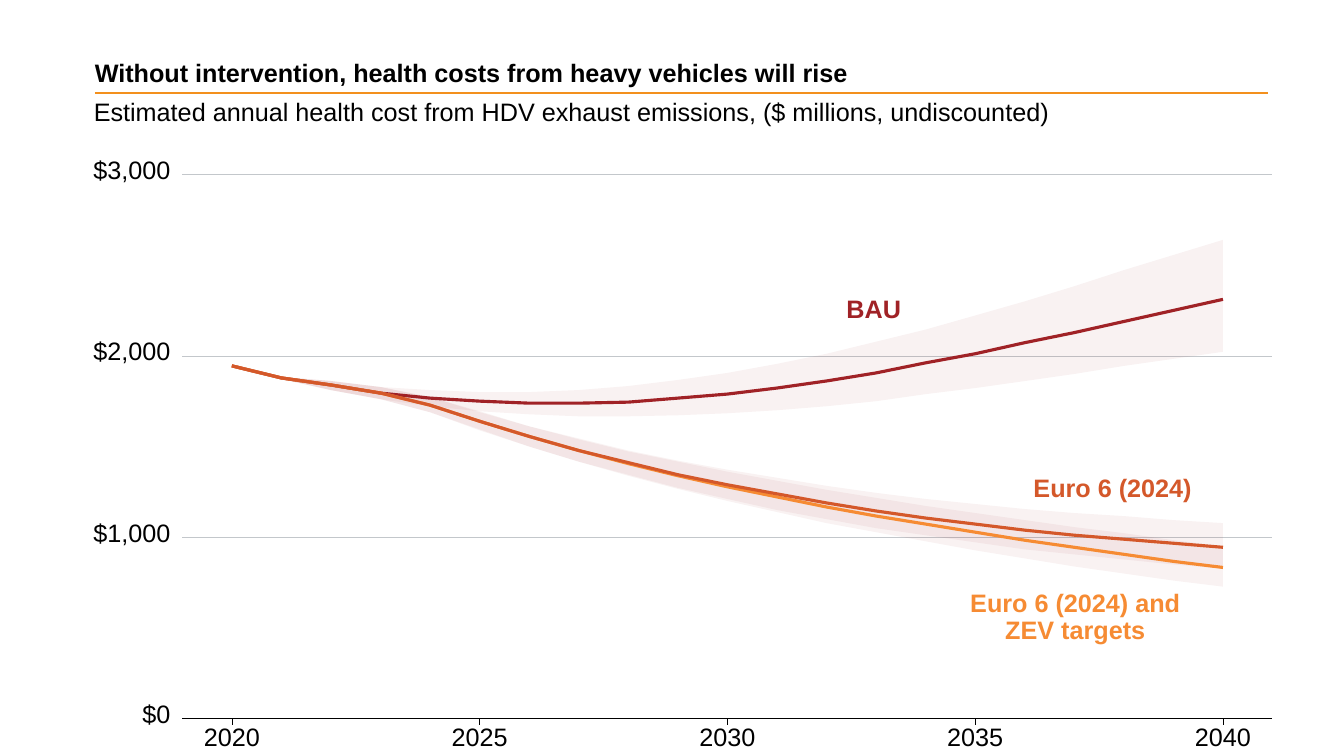
import pptx
import pptx.util
import pptx.dml.color
import pptx.enum.shapes
import pptx.enum.text
import pptx.oxml.ns
import lxml.etree

Inches = pptx.util.Inches
ALIGN = pptx.enum.text.PP_ALIGN
ANCHOR = pptx.enum.text.MSO_ANCHOR

COLORS = {"black": "000000", "rule": "F3901D", "grid": "C3C7CB",
          "bau": "A02226", "euro": "D4582A", "zev": "F68B33"}

TITLE = "Without intervention, health costs from heavy vehicles will rise"
SUBTITLE = ("Estimated annual health cost from HDV exhaust emissions, "
            "($ millions, undiscounted)")
COSTS = ["$0", "$1,000", "$2,000", "$3,000"]
YEARS = [2020, 2025, 2030, 2035, 2040]

# Heights on the slide in inches, one per year from 2020 to 2040
BANDS = [
    ([3.63, 3.74, 3.78, 3.84, 3.87, 3.89, 3.89, 3.87, 3.83, 3.77, 3.7,
      3.61, 3.51, 3.39, 3.27, 3.13, 2.99, 2.84, 2.68, 2.53, 2.38],
     [3.62, 3.76, 3.87, 3.96, 4.03, 4.08, 4.11, 4.13, 4.13, 4.12, 4.1,
      4.07, 4.03, 3.98, 3.91, 3.85, 3.78, 3.71, 3.63, 3.56, 3.49]),
    ([3.63, 3.74, 3.78, 3.84, 3.94, 4.09, 4.23, 4.36, 4.48, 4.58, 4.68,
      4.77, 4.86, 4.94, 5.02, 5.09, 5.16, 5.23, 5.29, 5.36, 5.42],
     [3.62, 3.76, 3.87, 3.96, 4.09, 4.27, 4.43, 4.58, 4.72, 4.85, 4.97,
      5.08, 5.19, 5.28, 5.37, 5.46, 5.54, 5.62, 5.69, 5.76, 5.82]),
    ([3.63, 3.74, 3.78, 3.84, 3.94, 4.08, 4.23, 4.35, 4.47, 4.57, 4.66,
      4.74, 4.82, 4.89, 4.95, 5, 5.05, 5.09, 5.12, 5.16, 5.19],
     [3.62, 3.76, 3.87, 3.96, 4.09, 4.26, 4.43, 4.58, 4.71, 4.84, 4.95,
      5.06, 5.15, 5.24, 5.31, 5.38, 5.45, 5.5, 5.55, 5.6, 5.64]),
]
CURVES = [
    ("bau", [3.63, 3.75, 3.82, 3.9, 3.95, 3.98, 4, 4, 3.99, 3.95, 3.91,
             3.85, 3.78, 3.7, 3.6, 3.51, 3.4, 3.3, 3.19, 3.08, 2.97]),
    ("zev", [3.63, 3.75, 3.82, 3.9, 4.02, 4.18, 4.33, 4.47, 4.6, 4.72, 4.83,
             4.93, 5.03, 5.12, 5.2, 5.28, 5.36, 5.43, 5.5, 5.57, 5.63]),
    ("euro", [3.63, 3.75, 3.82, 3.9, 4.02, 4.18, 4.33, 4.47, 4.59, 4.71, 4.81,
              4.9, 4.99, 5.07, 5.14, 5.2, 5.26, 5.31, 5.35, 5.39, 5.43]),
]
LABELS = [
    ("BAU", "bau", (8.27, 2.94, 0.79, 0.27)),
    ("Euro 6 (2024)", "euro", (10.23, 4.72, 1.61, 0.27)),
    ("Euro 6 (2024) and ZEV targets", "zev", (9.5, 5.86, 2.33, 0.55)),
]

LEFT, RIGHT, BASE = 1.81, 12.62, 7.13
STEP = 1.8                      # height of $1,000
FIRST, LAST = 2.3, 12.13        # centres of 2020 and 2040
GAP = (LAST - FIRST) / 20       # width of one year

prs = pptx.Presentation()
prs.slide_width, prs.slide_height = Inches(13.33), Inches(7.5)
slide = prs.slides.add_slide(prs.slide_layouts[6])
shapes = slide.shapes


def paint(name):
    return pptx.dml.color.RGBColor.from_string(COLORS[name])


def year_x(year):
    return FIRST + (year - 2020) * GAP


def add_text(text, box, color="black", bold=False, align=ALIGN.LEFT,
             anchor=ANCHOR.TOP, space=0.9):
    frame = shapes.add_textbox(*map(Inches, box)).text_frame
    frame.word_wrap = True
    frame.vertical_anchor = anchor
    frame.margin_left = frame.margin_right = 0
    frame.margin_top = frame.margin_bottom = 0
    frame.text = text
    para = frame.paragraphs[0]
    para.alignment, para.line_spacing = align, space
    font = para.runs[0].font
    font.name, font.size, font.bold = "Arial", pptx.util.Pt(18), bold
    font.color.rgb = paint(color)


def add_line(start, end, color, width):
    line = shapes.add_connector(pptx.enum.shapes.MSO_CONNECTOR.STRAIGHT,
                                *map(Inches, start + end))
    line.line.color.rgb = paint(color)
    line.line.width = pptx.util.Pt(width)
    lxml.etree.SubElement(line.element.spPr, pptx.oxml.ns.qn("a:effectLst"))


def add_path(points, close):
    pen = shapes.build_freeform(*points[0])
    pen.add_line_segments(points[1:], close=close)
    path = pen.convert_to_shape()
    path.shadow.inherit = False
    return path


def trace(heights):
    """Return the points of a yearly series, from 2020 on."""
    return [(Inches(year_x(2020 + i)), Inches(y))
            for i, y in enumerate(heights)]


def add_band(top, low):
    band = add_path(trace(top) + trace(low)[::-1], True)
    band.line.fill.background()
    band.fill.solid()
    band.fill.fore_color.rgb = paint("bau")
    tint = band.element.spPr.find(".//" + pptx.oxml.ns.qn("a:srgbClr"))
    alpha = lxml.etree.SubElement(tint, pptx.oxml.ns.qn("a:alpha"))
    alpha.set("val", "6000")


def add_curve(color, heights):
    curve = add_path(trace(heights), False)
    curve.fill.background()
    curve.line.color.rgb = paint(color)
    curve.line.width = pptx.util.Pt(2.25)


add_line((0.94, 0.92), (12.58, 0.92), "rule", 1.5)
add_text(TITLE, (0.94, 0.21, 9.88, 0.66), bold=True,
         anchor=ANCHOR.BOTTOM, space=1.0)
add_text(SUBTITLE, (0.93, 0.99, 11.65, 0.27))

tight = {"anchor": ANCHOR.MIDDLE, "space": pptx.util.Pt(18)}
for i, cost in enumerate(COSTS):
    y = BASE - i * STEP
    add_line((LEFT, y), (RIGHT, y), "grid", 0.37)
    add_text(cost, (0.89, y - 0.14, 0.8, 0.23), align=ALIGN.RIGHT, **tight)
for top, low in BANDS:
    add_band(top, low)
for color, heights in CURVES:
    add_curve(color, heights)

add_line((LEFT, BASE), (RIGHT, BASE), "black", 1)
for year in YEARS:
    x = year_x(year)
    add_line((x, BASE), (x, BASE + 0.06), "black", 0.56)
    add_text(str(year), (x - 0.3, 7.24, 0.6, 0.18), align=ALIGN.CENTER, **tight)
for text, color, box in LABELS:
    add_text(text, box, color, bold=True, align=ALIGN.CENTER)

prs.save("out.pptx")
